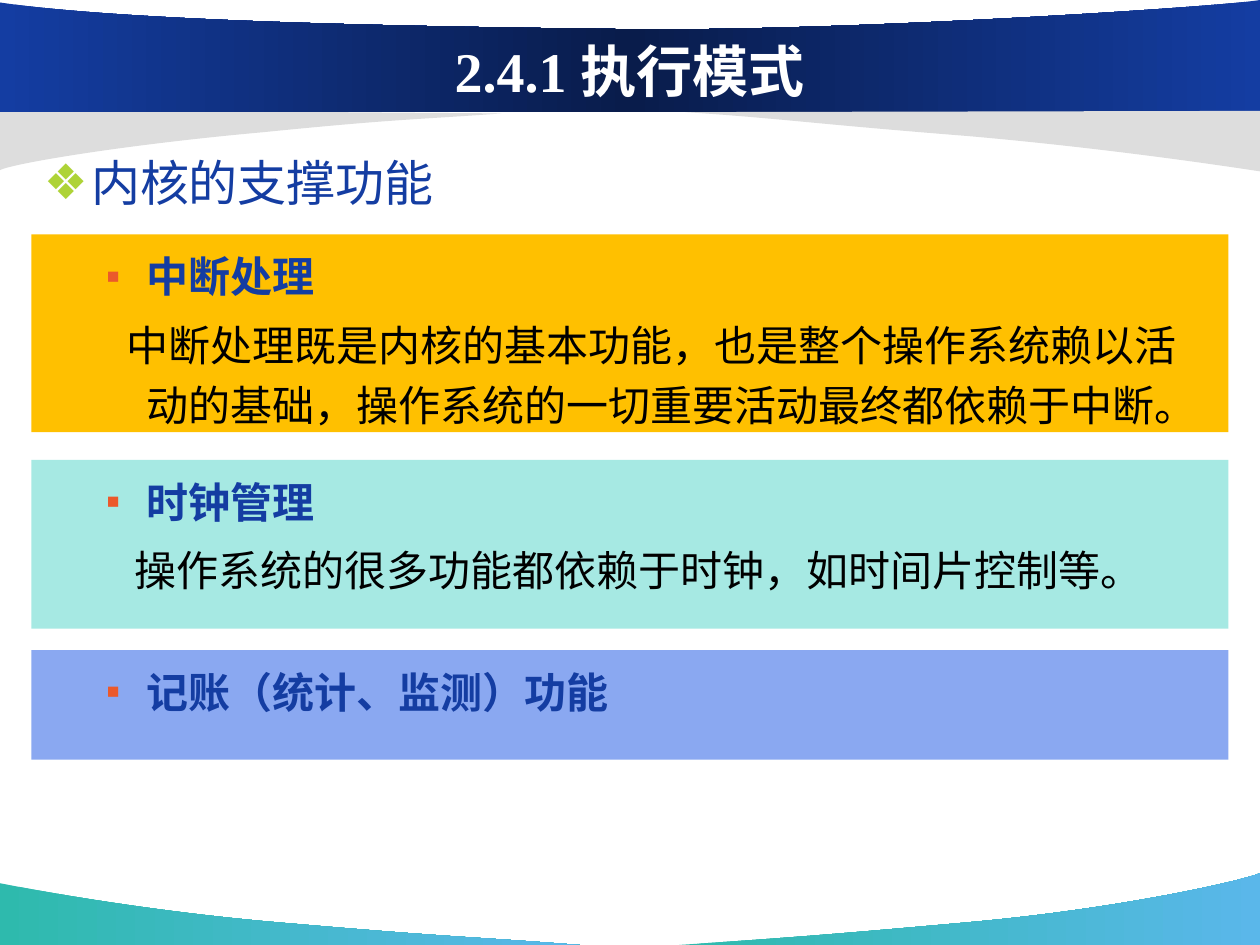
from dataclasses import dataclass

from lxml import etree
from pptx import Presentation
from pptx.dml.color import RGBColor
from pptx.enum.shapes import MSO_SHAPE
from pptx.enum.text import MSO_ANCHOR, PP_ALIGN
from pptx.oxml.ns import qn
from pptx.util import Inches, Pt

RECTANGLE = MSO_SHAPE.RECTANGLE
TOP, MIDDLE = MSO_ANCHOR.TOP, MSO_ANCHOR.MIDDLE
LEFT, CENTER = PP_ALIGN.LEFT, PP_ALIGN.CENTER
COLUMNS, ROWS = 10, 7.5
CELL = Inches(1)
HEADING_MARGIN = 3 / 8
PANEL_MARGIN, PANEL_HANG = 13 / 16, -5 / 16


@dataclass(frozen=True)
class Theme:
    navy: str = "143DA2"
    deep_navy: str = "091C4B"
    teal: str = "2EBAAD"
    sky: str = "5AB7EA"
    grey: str = "DDDDDD"
    amber: str = "FFC000"
    mint: str = "A6E9E3"
    periwinkle: str = "8AA8F1"
    white: str = "FFFFFF"
    black: str = "000000"
    lime: str = "AED337"
    orange: str = "EB592B"
    title_font: str = "Times New Roman"
    body_font: str = "Arial"
    title_size: int = 32
    heading_size: int = 28
    body_size: int = 24
    line_spacing: float = 1.2
    space_share: float = 0.2


THEME = Theme()
FOOTER = (THEME.teal, THEME.sky)
HEADER = (THEME.navy, THEME.deep_navy, THEME.navy)

WAVES = [
    (FOOTER, (4.6, 7.5),
     [(3.84, 7.44), (3.58, 7.44), (2.32, 7.33),
      (1.06, 7.23), (0.01, 7.01), (0, 7.01)],
     [(0, 7.5)]),
    (FOOTER, (5.39, 7.5),
     [(6.14, 7.45), (6.46, 7.43), (7.69, 7.32),
      (8.92, 7.21), (9.9, 6.98), (10, 6.93)],
     [(10, 7.5)]),
    ((THEME.grey,), (3.98, 0.9),
     [(3.31, 0.95), (3.18, 0.94), (2.08, 1.05),
      (0.97, 1.15), (0.09, 1.3), (0, 1.35)],
     [(0, 0.87)]),
    (HEADER, (10, 0),
     [(9.64, 0.06), (6.53, 0.26), (4.87, 0.23),
      (3.21, 0.21), (1.01, 0.17), (0, 0.02)],
     [(0, 0.89), (10, 0.89)]),
    ((THEME.grey,), (5.44, 0.89),
     [(6.2, 0.94), (6.42, 0.98), (7.68, 1.08),
      (8.94, 1.19), (9.99, 1.36), (10, 1.36)],
     [(10, 0.88)]),
]

PANELS = [
    (1.86, 1.57, THEME.amber, "中断处理",
     "中断处理既是内核的基本功能，也是整个操作系统赖以活动的基础，"
     "操作系统的一切重要活动最终都依赖于中断。", -0.16),
    (3.65, 1.34, THEME.mint, "时钟管理",
     "操作系统的很多功能都依赖于时钟，如时间片控制等。", -0.09),
    (5.16, 0.87, THEME.periwinkle, "记账（统计、监测）功能", None, 0),
]


def grid(*cells):
    return [round(cell * CELL) for cell in cells]


def paint(shape, colours):
    shape.shadow.inherit = False
    shape.line.fill.background()
    if len(colours) == 1:
        shape.fill.solid()
        shape.fill.fore_color.rgb = RGBColor.from_string(colours[0])
        return
    shape.fill.gradient()
    shape.fill.gradient_angle = 0
    stops = shape._element.spPr.find(".//" + qn("a:gsLst"))
    for stop in list(stops):
        stops.remove(stop)
    for index, colour in enumerate(colours):
        position = round(100000 * index / (len(colours) - 1))
        stop = etree.SubElement(stops, qn("a:gs"), pos=str(position))
        etree.SubElement(stop, qn("a:srgbClr"), val=colour)


def bend(shape, curve_length):
    lines = list(shape._element.spPr.iter(qn("a:lnTo")))[:curve_length]
    for index in range(0, curve_length, 3):
        first, *others = lines[index:index + 3]
        curve = etree.Element(qn("a:cubicBezTo"))
        first.addprevious(curve)
        for line in (first, *others):
            curve.append(line[0])
            line.getparent().remove(line)


def add_wave(page, colours, start, curve, corners):
    builder = page.shapes.build_freeform(*grid(*start), scale=1.0)
    points = [grid(*point) for point in curve + corners + [start]]
    builder.add_line_segments(points, close=True)
    wave = builder.convert_to_shape()
    bend(wave, len(curve))
    paint(wave, colours)


def prepare_frame(shape, anchor=TOP):
    frame = shape.text_frame
    frame.word_wrap = True
    frame.vertical_anchor = anchor
    return frame


def add_text_box(page, left, top, width, height, anchor=TOP):
    box = page.shapes.add_textbox(*grid(left, top, width, height))
    return prepare_frame(box, anchor)


def write(para, text, font, size, colour, bold=False, align=LEFT):
    para.text = text
    para.alignment = align
    for span in para.runs:
        span.font.name = font
        span.font.size = Pt(size)
        span.font.bold = bold
        span.font.color.rgb = RGBColor.from_string(colour)


def indent(para, margin, first_line):
    properties = para._p.get_or_add_pPr()
    properties.set("marL", str(Inches(margin)))
    properties.set("indent", str(Inches(first_line)))
    para.line_spacing = THEME.line_spacing
    return properties


def add_bullet(para, mark, colour, percent, margin, first_line):
    properties = indent(para, margin, first_line)
    tint = etree.SubElement(properties, qn("a:buClr"))
    etree.SubElement(tint, qn("a:srgbClr"), val=colour)
    etree.SubElement(properties, qn("a:buSzPct"), val=str(percent * 1000))
    etree.SubElement(properties, qn("a:buFont"), typeface=THEME.body_font)
    etree.SubElement(properties, qn("a:buChar"), char=mark)


def add_panel(page, top, height, colour, heading, detail, first_line):
    panel = page.shapes.add_shape(RECTANGLE, *grid(0.25, top, 9.5, height))
    paint(panel, (colour,))
    frame = prepare_frame(panel)
    para = frame.paragraphs[0]
    add_bullet(para, "■", THEME.orange, 50, PANEL_MARGIN, PANEL_HANG)
    write(para, heading, THEME.body_font, THEME.body_size, THEME.navy, bold=True)
    if detail:
        para = frame.add_paragraph()
        indent(para, PANEL_MARGIN, first_line)
        para.space_before = Pt(THEME.body_size * THEME.space_share)
        write(para, detail, THEME.body_font, THEME.body_size, THEME.black)


def main():
    deck = Presentation()
    deck.slide_width, deck.slide_height = grid(COLUMNS, ROWS)
    page = deck.slides.add_slide(deck.slide_layouts[6])
    for wave in WAVES:
        add_wave(page, *wave)
    title = add_text_box(page, 0.5, 0.05, 9, 1.02, MIDDLE).paragraphs[0]
    write(title, "2.4.1 执行模式", THEME.title_font, THEME.title_size,
          THEME.white, bold=True, align=CENTER)
    heading = add_text_box(page, 0.25, 1.07, 9.5, 4.95).paragraphs[0]
    add_bullet(heading, "❖", THEME.lime, 100, HEADING_MARGIN, -HEADING_MARGIN)
    write(heading, "内核的支撑功能", THEME.body_font, THEME.heading_size, THEME.navy)
    for panel in PANELS:
        add_panel(page, *panel)
    deck.save("out.pptx")


if __name__ == "__main__":
    main()
